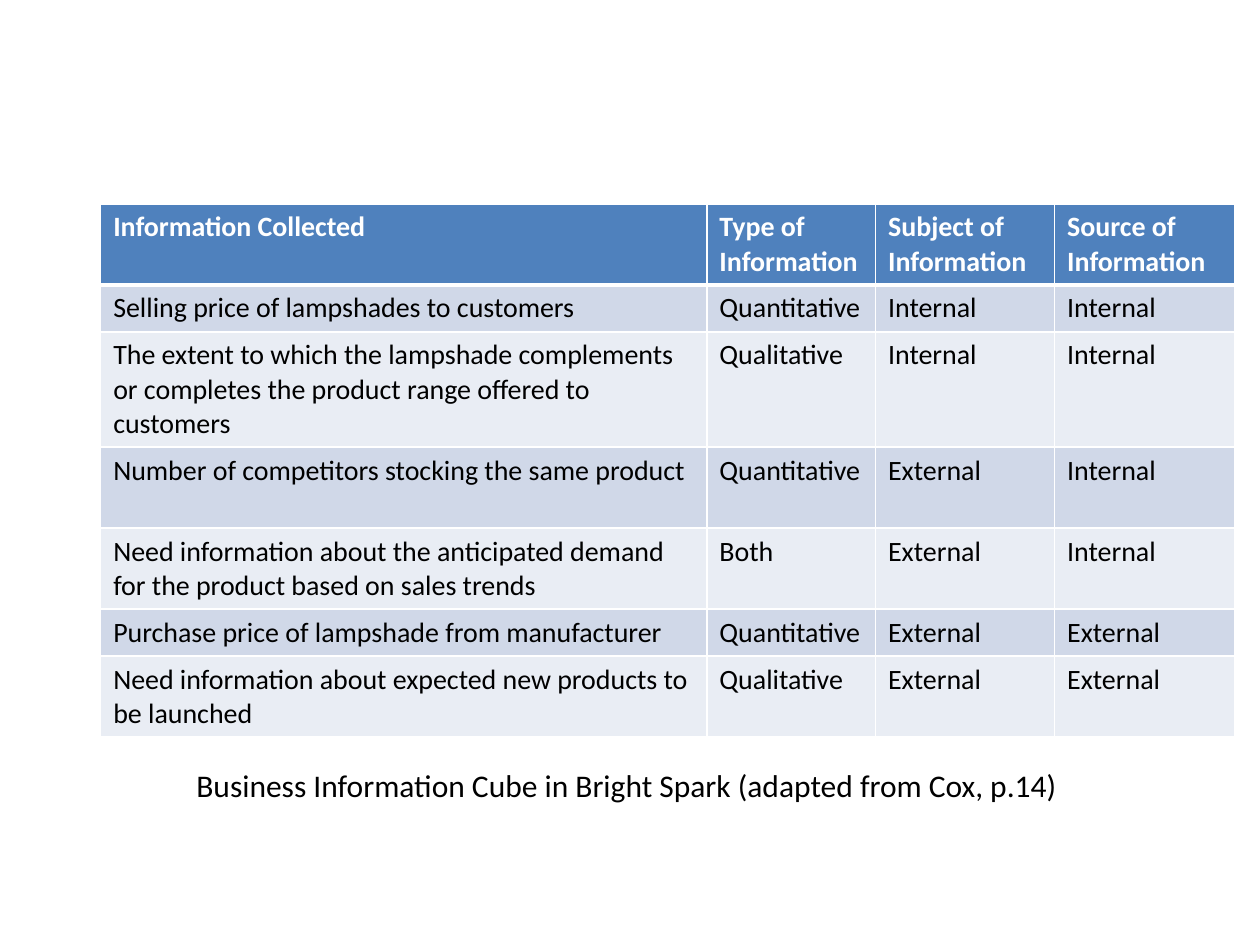
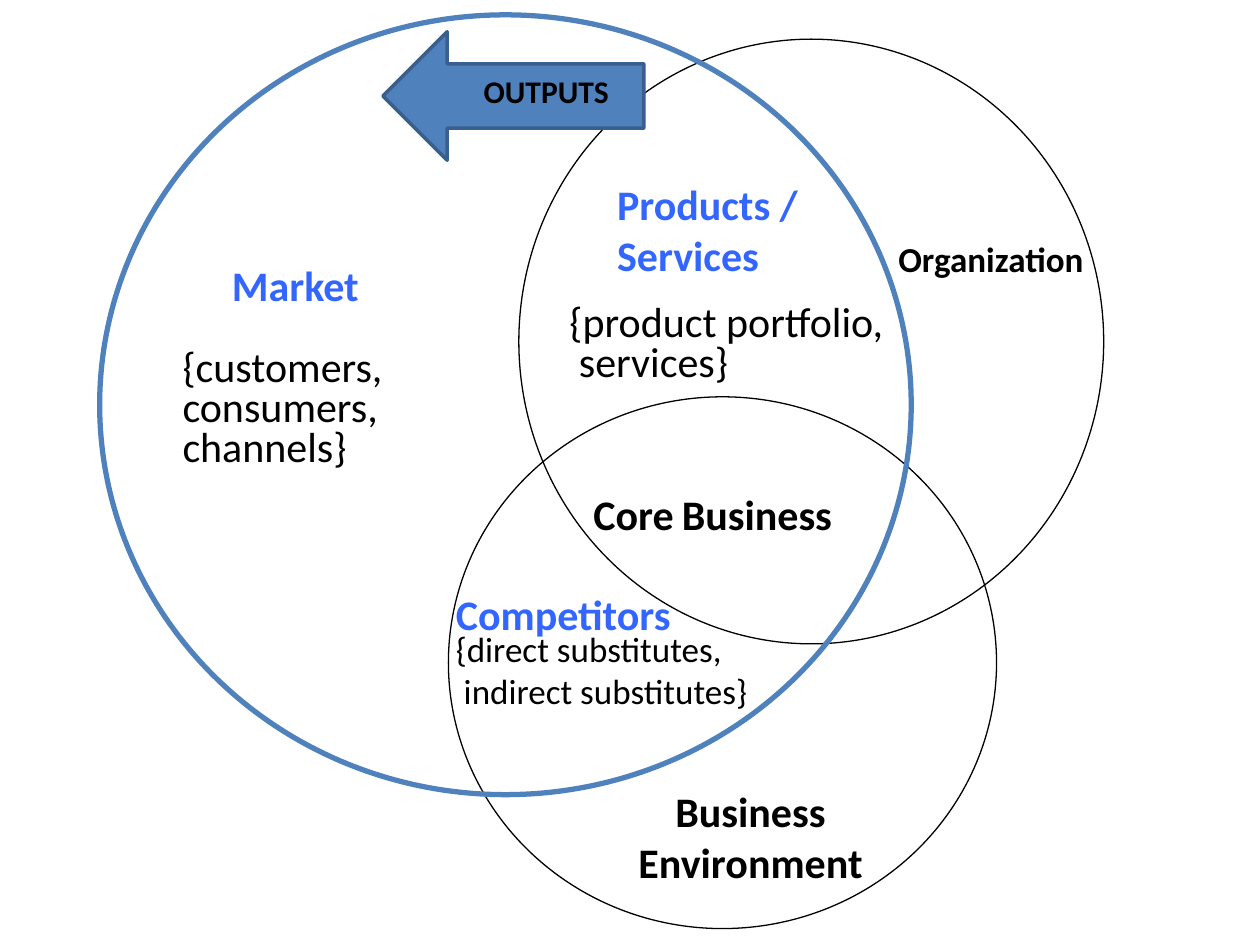
from lxml import etree
from pptx import Presentation
from pptx.dml.color import RGBColor
from pptx.enum.shapes import MSO_SHAPE
from pptx.enum.text import MSO_AUTO_SIZE, PP_ALIGN
from pptx.oxml.ns import qn
from pptx.util import Cm, Pt

ELLIPSE = MSO_SHAPE.OVAL
RIGHT_ARROW = MSO_SHAPE.RIGHT_ARROW
GROW = MSO_AUTO_SIZE.SHAPE_TO_FIT_TEXT
LEFT = PP_ALIGN.LEFT
CENTER = PP_ALIGN.CENTER

FONT = "Calibri"
WHITE = RGBColor(0xFF, 0xFF, 0xFF)
BLACK = RGBColor(0x00, 0x00, 0x00)
STEEL = RGBColor(0x4F, 0x81, 0xBD)
STEEL_DARK = RGBColor(0x3A, 0x5F, 0x8C)
ACCENT = RGBColor(0x33, 0x66, 0xFF)
BANDS = (RGBColor(0xD0, 0xD8, 0xE8), RGBColor(0xE9, 0xED, 0xF4))

COLUMN_WIDTHS = (12.22, 3.4, 3.61, 3.63)
ROW_HEIGHTS = (1.6, 0.94, 2.31, 1.63, 1.63, 0.94, 1.63)
HEADINGS = ("Information Collected", "Type of Information",
            "Subject of Information", "Source of Information")
INFORMATION = (
    ("Selling price of lampshades to customers",
     "Quantitative", "Internal", "Internal"),
    ("The extent to which the lampshade complements or completes "
     "the product range offered to customers",
     "Qualitative", "Internal", "Internal"),
    ("Number of competitors stocking the same product",
     "Quantitative", "External", "Internal"),
    ("Need information about the anticipated demand for the product "
     "based on sales trends",
     "Both", "External", "Internal"),
    ("Purchase price of lampshade from manufacturer",
     "Quantitative", "External", "External"),
    ("Need information about expected new products to be launched",
     "Qualitative", "External", "External"),
)


def add_run(paragraph, text, size, color=BLACK, bold=False):
    run = paragraph.add_run()
    run.text = text
    run.font.name = FONT
    run.font.size = Pt(size)
    run.font.bold = bold
    run.font.color.rgb = color


def add_label(shapes, box, lines, size, color=BLACK, bold=False,
              align=LEFT, wrap=True, spacing=None):
    label = shapes.add_textbox(*map(Cm, box))
    frame = label.text_frame
    frame.word_wrap = wrap
    frame.auto_size = GROW
    for index, line in enumerate(lines):
        paragraph = frame.add_paragraph() if index else frame.paragraphs[0]
        paragraph.alignment = align
        if spacing:
            paragraph.line_spacing = spacing
        runs = [(line, size)] if isinstance(line, str) else line
        for text, run_size in runs:
            add_run(paragraph, text, run_size, color, bold)


def add_outline(shapes, kind, box, color, width, fill=None):
    shape = shapes.add_shape(kind, *map(Cm, box))
    shape.shadow.inherit = False
    if fill is None:
        shape.fill.background()
    else:
        shape.fill.solid()
        shape.fill.fore_color.rgb = fill
    shape.line.color.rgb = color
    shape.line.width = Pt(width)
    return shape


def add_cell_borders(cell, bottom_width):
    properties = cell._tc.get_or_add_tcPr()
    for side, width in (("L", 1), ("R", 1), ("T", 1), ("B", bottom_width)):
        line = etree.SubElement(properties, qn(f"a:ln{side}"), w=str(Pt(width)))
        fill = etree.SubElement(line, qn("a:solidFill"))
        etree.SubElement(fill, qn("a:srgbClr"), val=str(WHITE))


def add_information_table(shapes):
    rows = (HEADINGS,) + INFORMATION
    table = shapes.add_table(
        len(rows), len(HEADINGS), Cm(2.03), Cm(4.11),
        Cm(sum(COLUMN_WIDTHS)), Cm(sum(ROW_HEIGHTS))).table
    for column, width in zip(table.columns, COLUMN_WIDTHS):
        column.width = Cm(width)
    for index, (row, height, texts) in enumerate(
            zip(table.rows, ROW_HEIGHTS, rows)):
        row.height = Cm(height)
        heading = index == 0
        for cell, text in zip(row.cells, texts):
            add_cell_borders(cell, 3 if heading else 1)
            cell.fill.solid()
            cell.fill.fore_color.rgb = STEEL if heading else BANDS[(index - 1) % 2]
            add_run(cell.text_frame.paragraphs[0], text, 16,
                    WHITE if heading else BLACK, heading)


def build_information_cube(slide):
    add_information_table(slide.shapes)
    add_label(slide.shapes, (3.71, 15.32, 18.08, 1.02),
              ["Business Information Cube in Bright Spark (adapted from Cox, p.14)"],
              18, wrap=False)


def build_business_circles(slide):
    circles = slide.shapes.add_group_shape().shapes
    add_outline(circles, ELLIPSE, (10.46, 0.79, 11.79, 12.19), BLACK, 0.75)
    add_outline(circles, ELLIPSE, (9.04, 8, 11.05, 10.72), BLACK, 0.75)
    add_label(circles, (12.19, 3.48, 4.6, 2.31), ["Products / Services"],
              24, ACCENT, True)
    add_label(circles, (11.51, 9.73, 5.72, 1.27),
              [[("Core", 24), (" ", 20), ("Business", 24)]],
              24, bold=True, align=CENTER)
    add_label(circles, (3.43, 5.11, 5.05, 1.27), ["Market"],
              24, ACCENT, True, CENTER)
    add_label(circles, (11.51, 15.72, 7.24, 2.74), ["Business Environment"],
              24, bold=True, align=CENTER)
    add_outline(circles, ELLIPSE, (2.01, 0.3, 16.36, 15.72), STEEL, 3)
    add_label(circles, (17.86, 4.67, 7.44, 1.12), ["Organization"], 20, bold=True)

    outputs = slide.shapes.add_group_shape().shapes
    arrow = add_outline(outputs, RIGHT_ARROW, (7.72, 0.64, 5.26, 2.59),
                        STEEL_DARK, 2, STEEL)
    arrow.rotation = 180
    add_label(outputs, (9.5, 1.32, 3.96, 1.02), ["OUTPUTS"], 18, bold=True)

    add_label(slide.shapes, (8.94, 11.73, 5.69, 2.13), ["Competitors"],
              24, ACCENT, True)
    add_label(slide.shapes, (3.43, 6.93, 4.78, 2.72),
              ["{customers,", "consumers,", "channels}"],
              24, wrap=False, spacing=0.8)
    add_label(slide.shapes, (11.23, 6.02, 6.91, 1.93),
              ["{product portfolio,", " services}"],
              24, wrap=False, spacing=0.8)
    add_label(slide.shapes, (8.94, 12.52, 12.7, 1.96),
              ["{direct substitutes,", " indirect substitutes}"], 20)


def main():
    presentation = Presentation()
    presentation.slide_width = Cm(25.4)
    presentation.slide_height = Cm(19.05)
    blank = presentation.slide_layouts[6]
    for build in (build_information_cube, build_business_circles):
        build(presentation.slides.add_slide(blank))
    presentation.save("out.pptx")


if __name__ == "__main__":
    main()
